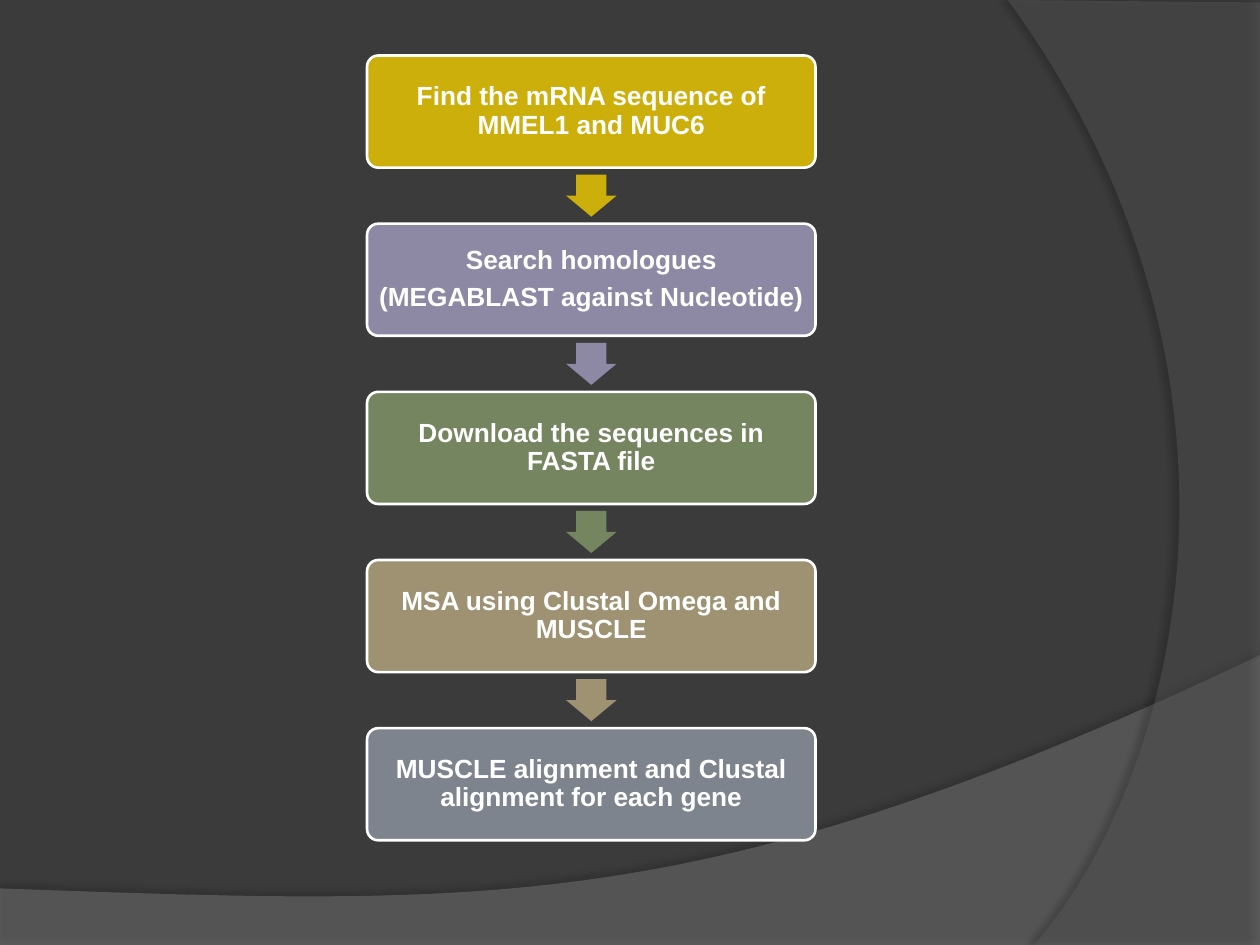
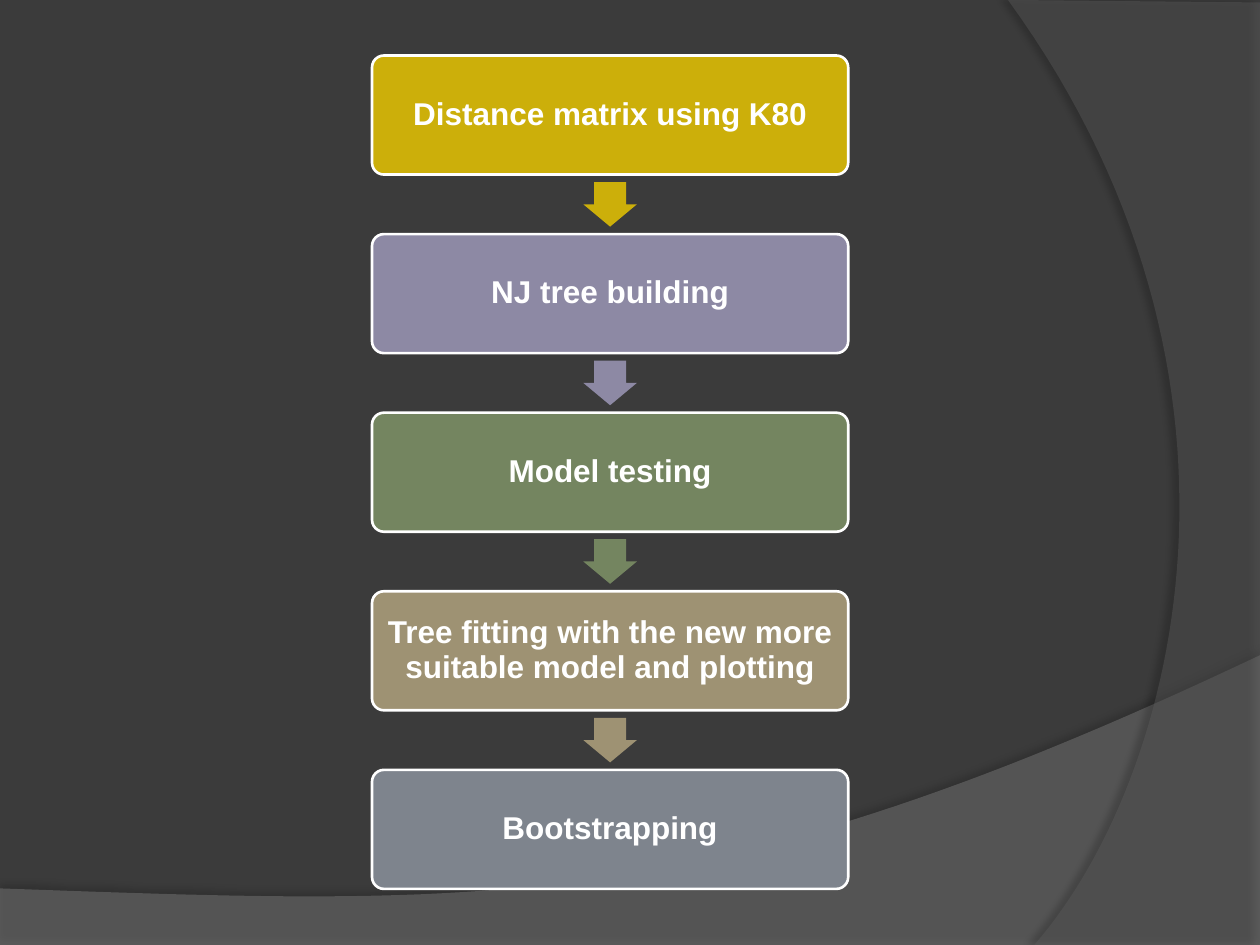
"""Build two slides that show a sequence analysis workflow as vertical flow charts."""
from lxml import etree
from pptx import Presentation
from pptx.dml.color import RGBColor
from pptx.enum.shapes import MSO_SHAPE
from pptx.enum.text import MSO_ANCHOR, PP_ALIGN
from pptx.oxml.ns import qn
from pptx.util import Cm, Pt

ROUNDED_BOX = MSO_SHAPE.ROUNDED_RECTANGLE
DOWN_ARROW = MSO_SHAPE.DOWN_ARROW
MIDDLE = MSO_ANCHOR.MIDDLE
CENTER = PP_ALIGN.CENTER

BACKGROUND = RGBColor(0x3B, 0x3B, 0x3B)
BOTTOM_BAND = RGBColor(0x7F, 0x7F, 0x7F)
SIDE_BAND = RGBColor(0x5E, 0x5E, 0x5E)
WHITE = RGBColor(0xFF, 0xFF, 0xFF)
STEP_COLORS = [
    RGBColor(0xCC, 0xAF, 0x0A),
    RGBColor(0x8D, 0x89, 0xA4),
    RGBColor(0x74, 0x85, 0x60),
    RGBColor(0x9E, 0x92, 0x73),
    RGBColor(0x7E, 0x84, 0x8D),
]
FONT = "Arial"
SLIDE_WIDTH, SLIDE_HEIGHT = 25.4, 19.05
BOX_TOP = 1.12
CURVE_STEPS = 60

BANDS = [
    {
        "corners": [(0, SLIDE_HEIGHT), (SLIDE_WIDTH, SLIDE_HEIGHT)],
        "curve": [(25.4, 13.21), (14.2, 18.52), (9.93, 18.26), (0, 17.91)],
        "color": BOTTOM_BAND, "opacity": 45,
        "shadow_opacity": 35, "distance": 3.5, "direction": 270,
    },
    {
        "corners": [(SLIDE_WIDTH, 0.05), (SLIDE_WIDTH, SLIDE_HEIGHT)],
        "curve": [(20.85, 19.05), (23.75, 15.72), (25.86, 7.62), (20.32, 0)],
        "color": SIDE_BAND, "opacity": 40,
        "shadow_opacity": 45, "distance": 4, "direction": 180,
    },
]

FLOWS = [
    {
        "left": 7.4, "width": 9.04, "height": 2.26, "inset": 0.15, "size": 15,
        "steps": [
            "Find the mRNA sequence of MMEL1 and MUC6",
            "Search homologues\n(MEGABLAST against Nucleotide)",
            "Download the sequences in FASTA file",
            "MSA using Clustal Omega and MUSCLE",
            "MUSCLE alignment and Clustal alignment for each gene",
        ],
    },
    {
        "left": 7.5, "width": 9.6, "height": 2.4, "inset": 0.18, "size": 18,
        "steps": [
            "Distance matrix using K80",
            "NJ tree building",
            "Model testing",
            "Tree fitting with the new more suitable model and plotting",
            "Bootstrapping",
        ],
    },
]


def curve_points(start, first_control, second_control, end):
    """Return points along a cubic curve."""
    points = []
    for step in range(CURVE_STEPS + 1):
        t = step / CURVE_STEPS
        weights = ((1 - t) ** 3, 3 * t * (1 - t) ** 2, 3 * t * t * (1 - t), t ** 3)
        controls = (start, first_control, second_control, end)
        points.append(tuple(
            sum(weight * control[axis] for weight, control in zip(weights, controls))
            for axis in (0, 1)
        ))
    return points


def add_filled_shape(slide, kind, color, left, top, width, height):
    """Add a preset shape with a plain fill and no shadow."""
    shape = slide.shapes.add_shape(kind, Cm(left), Cm(top), Cm(width), Cm(height))
    shape.shadow.inherit = False
    shape.fill.solid()
    shape.fill.fore_color.rgb = color
    shape.line.fill.background()
    return shape


presentation = Presentation()
presentation.slide_width = Cm(SLIDE_WIDTH)
presentation.slide_height = Cm(SLIDE_HEIGHT)
blank_layout = presentation.slide_layouts[6]
slides = [presentation.slides.add_slide(blank_layout) for flow in FLOWS]

master = presentation.slide_master
master.background.fill.solid()
master.background.fill.fore_color.rgb = BACKGROUND

for number, band in enumerate(BANDS):
    outline = band["corners"] + curve_points(*band["curve"])
    points = [(Cm(x), Cm(y)) for x, y in outline]
    builder = slides[0].shapes.build_freeform(*points[0])
    builder.add_line_segments(points[1:], close=True)
    shape = builder.convert_to_shape()
    shape.name = f"Band {number + 1}"
    shape.fill.solid()
    shape.fill.fore_color.rgb = band["color"]
    shape.line.fill.background()
    shape.shadow.inherit = False
    properties = shape.element.spPr
    fill_color = properties.find(qn("a:solidFill")).find(qn("a:srgbClr"))
    etree.SubElement(fill_color, qn("a:alpha"), val=str(band["opacity"] * 1000))
    shadow = etree.SubElement(
        properties.find(qn("a:effectLst")), qn("a:outerShdw"),
        blurRad=str(Pt(4)), dist=str(Pt(band["distance"])),
        dir=str(band["direction"] * 60000), algn="ctr", rotWithShape="0",
    )
    shadow_color = etree.SubElement(shadow, qn("a:srgbClr"), val="000000")
    etree.SubElement(shadow_color, qn("a:alpha"), val=str(band["shadow_opacity"] * 1000))
    shape.element.nvSpPr.cNvPr.set("id", str(101 + number))
    master.element.cSld.spTree.insert(2 + number, shape.element)

for slide, flow in zip(slides, FLOWS):
    left, width, height = flow["left"], flow["width"], flow["height"]
    gap = height / 2
    arrow_width, arrow_height = 0.45 * height, 0.375 * height
    last = len(flow["steps"]) - 1
    for index, (step, color) in enumerate(zip(flow["steps"], STEP_COLORS)):
        top = BOX_TOP + index * (height + gap)
        box = add_filled_shape(slide, ROUNDED_BOX, color, left, top, width, height)
        box.adjustments[0] = 0.1
        box.line.color.rgb = WHITE
        box.line.width = Pt(1.5)
        frame = box.text_frame
        frame.word_wrap = True
        frame.vertical_anchor = MIDDLE
        frame.margin_left = frame.margin_right = Cm(flow["inset"])
        frame.margin_top = frame.margin_bottom = Cm(flow["inset"])
        frame.text = step
        for paragraph in frame.paragraphs:
            paragraph.alignment = CENTER
            paragraph.line_spacing = 0.9
            paragraph.space_after = Pt(0.35 * flow["size"])
            for run in paragraph.runs:
                run.font.name = FONT
                run.font.size = Pt(flow["size"])
                run.font.bold = True
                run.font.color.rgb = WHITE
        if index < last:
            arrow = add_filled_shape(
                slide, DOWN_ARROW, color,
                left + (width - arrow_width) / 2,
                top + height + (gap - arrow_height) / 2,
                arrow_width, arrow_height,
            )
            arrow.adjustments[0] = 0.6
            arrow.adjustments[1] = 0.5

presentation.save("out.pptx")
